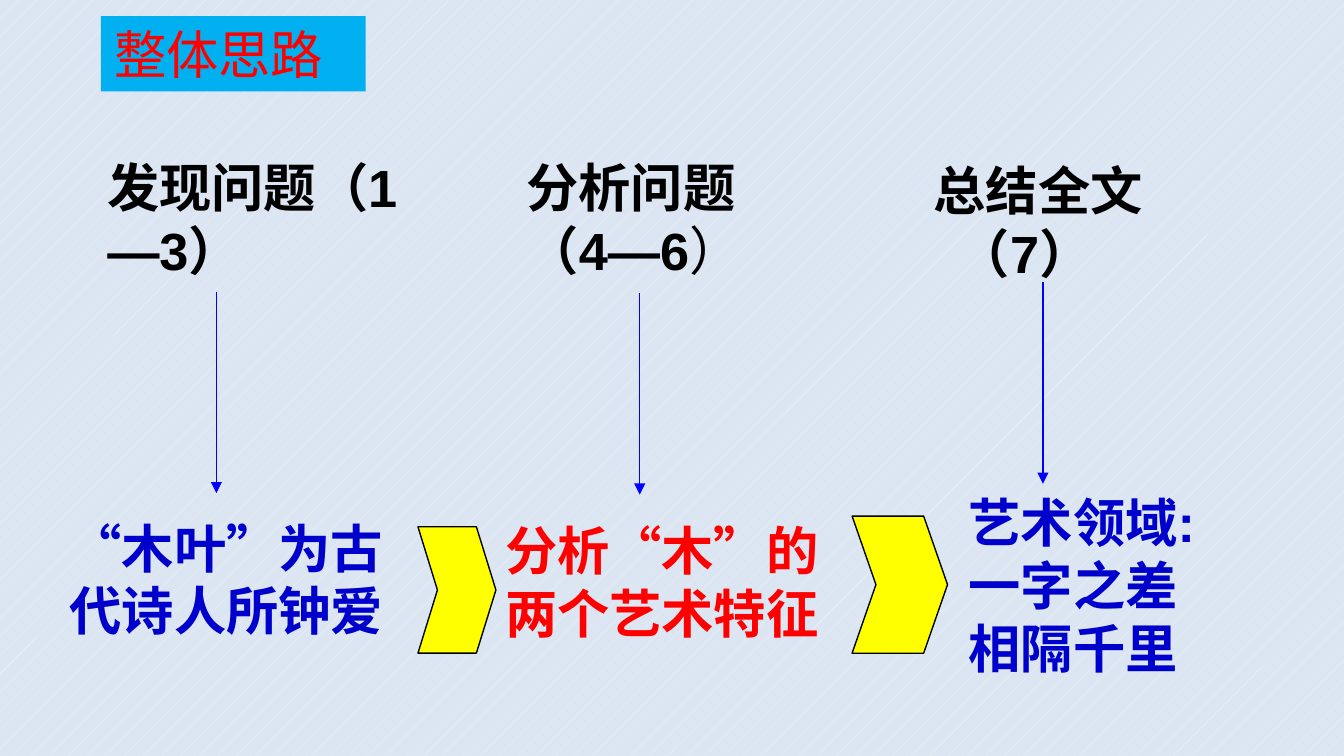
"""Builds a slide that maps an essay's three stages to their content."""
from pptx import Presentation
from pptx.dml.color import RGBColor
from pptx.enum.dml import MSO_PATTERN
from pptx.enum.shapes import MSO_CONNECTOR, MSO_SHAPE
from pptx.enum.text import MSO_ANCHOR, MSO_AUTO_SIZE, PP_ALIGN
from pptx.oxml.ns import qn
from pptx.util import Inches, Pt
from lxml import etree

DOTS = MSO_PATTERN.PERCENT_5
STRAIGHT = MSO_CONNECTOR.STRAIGHT
CHEVRON = MSO_SHAPE.CHEVRON
MIDDLE = MSO_ANCHOR.MIDDLE
GROW = MSO_AUTO_SIZE.SHAPE_TO_FIT_TEXT
FIXED = MSO_AUTO_SIZE.NONE
LEFT = PP_ALIGN.LEFT

COLORS = {
    "dots": "F2F2F2",
    "backdrop": "DCE6F2",
    "banner": "00B0F0",
    "black": "000000",
    "red": "FF0000",
    "navy": "0000CC",
    "arrow": "0000FF",
    "yellow": "FFFF00",
}


def color(name):
    return RGBColor.from_string(COLORS[name])


def write(paragraph, text, tone="black", bold=True, indent=0):
    if indent:
        paragraph._p.get_or_add_pPr().set("marL", str(Inches(indent)))
    paragraph.alignment = LEFT
    run = paragraph.add_run()
    run.text = text
    run.font.name = "Arial"
    run.font.size = Pt(28)
    run.font.bold = bold
    run.font.color.rgb = color(tone)


class EssayMap:
    """Holds the style and the current slide."""

    def __init__(self, presentation):
        self.line_width = Pt(0.75)
        self.slide = presentation.slides.add_slide(presentation.slide_layouts[5])
        fill = self.slide.background.fill
        fill.patterned()
        fill.pattern = DOTS
        fill.fore_color.rgb = color("dots")
        fill.back_color.rgb = color("backdrop")

    def title(self, text, left, top, width, height):
        banner = self.slide.shapes.title
        banner.left, banner.top = Inches(left), Inches(top)
        banner.width, banner.height = Inches(width), Inches(height)
        banner.fill.solid()
        banner.fill.fore_color.rgb = color("banner")
        frame = banner.text_frame
        frame.auto_size = FIXED
        frame.vertical_anchor = MIDDLE
        write(frame.paragraphs[0], text, tone="red", bold=False)

    def text(self, lines, left, top, width, height, tone="black", indent=0):
        box = self.slide.shapes.add_textbox(
            Inches(left), Inches(top), Inches(width), Inches(height))
        frame = box.text_frame
        frame.word_wrap = True
        frame.auto_size = GROW
        for number, line in enumerate(lines):
            paragraph = frame.add_paragraph() if number else frame.paragraphs[0]
            write(paragraph, line, tone=tone, indent=indent if number else 0)
        return frame

    def arrow(self, x, top, length=1.5):
        arrow = self.slide.shapes.add_connector(
            STRAIGHT, Inches(x), Inches(top), Inches(x), Inches(top + length))
        arrow.line.color.rgb = color("arrow")
        arrow.line.width = self.line_width
        etree.SubElement(arrow.line._get_or_add_ln(), qn("a:tailEnd"), type="triangle")
        etree.SubElement(arrow._element.spPr, qn("a:effectLst"))

    def chevron(self, left, top, width, height):
        chevron = self.slide.shapes.add_shape(
            CHEVRON, Inches(left), Inches(top), Inches(width), Inches(height))
        chevron.adjustments[0] = 0.25
        chevron.shadow.inherit = False
        chevron.fill.solid()
        chevron.fill.fore_color.rgb = color("yellow")
        chevron.line.color.rgb = color("black")
        chevron.line.width = self.line_width


def main():
    presentation = Presentation()
    presentation.slide_width = Inches(10)
    presentation.slide_height = Inches(10) * 9 // 16
    essay = EssayMap(presentation)

    essay.title("整体思路", 0.75, 0.12, 1.97, 0.56)

    essay.text(["发现问题（1—3）"], 0.7, 1.11, 2.44, 1.04)
    analysis = essay.text(["分析问题", "（4—6"], 3.82, 1.11, 2.68, 1.04)
    write(analysis.paragraphs[1], "）", bold=False)
    essay.text(["总结全文", "（7）"], 6.85, 1.13, 2.87, 1.04, indent=0.18)

    for x, top in [(1.61, 2.17), (4.76, 2.18), (7.76, 2.1)]:
        essay.arrow(x, top)

    essay.text(["“木叶”为古代诗人所钟爱"], 0.42, 3.79, 2.68, 1.04, tone="navy")
    essay.text(["分析“木”的两个艺术特征"], 3.66, 3.81, 2.68, 1.04, tone="red")
    essay.text(["艺术领域:", "一字之差", "相隔千里"], 7.11, 3.6, 2.38, 1.51, tone="navy")

    essay.chevron(3.11, 3.92, 0.58, 0.94)
    essay.chevron(6.34, 3.84, 0.71, 1.02)

    presentation.save("out.pptx")


if __name__ == "__main__":
    main()
